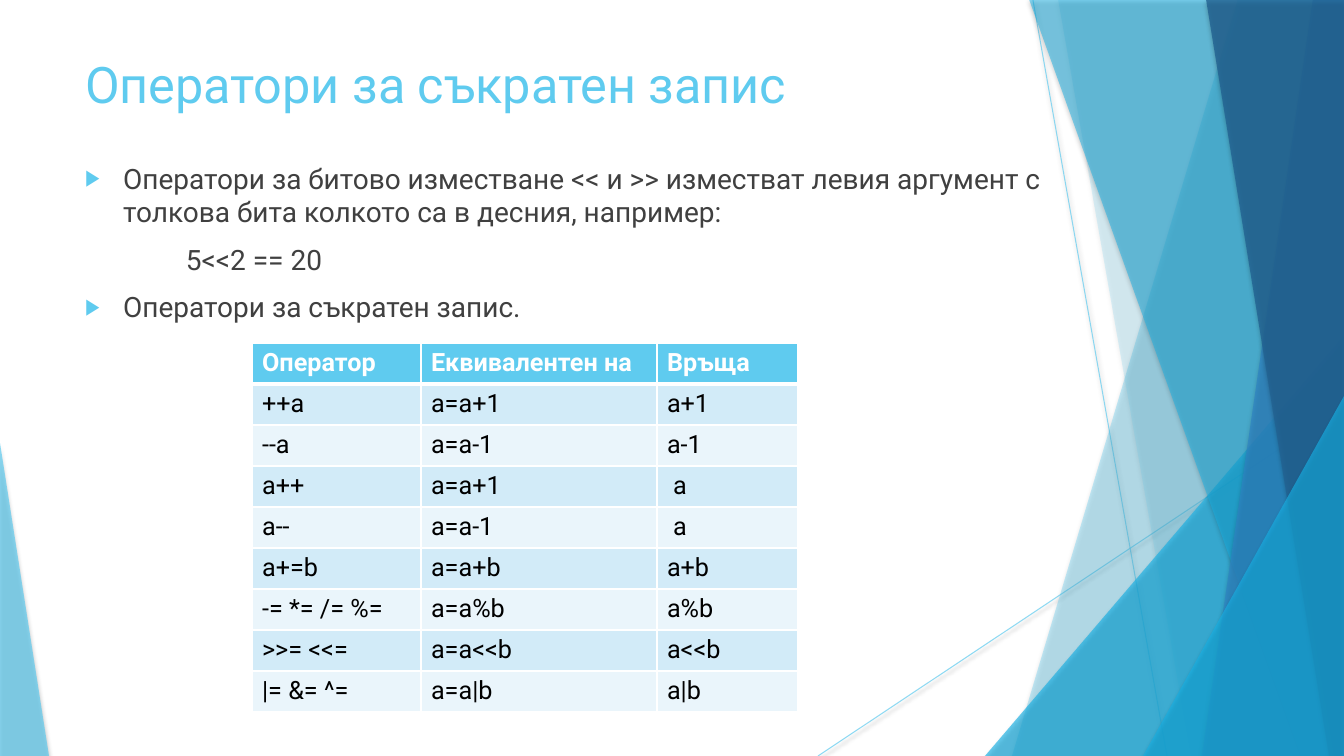
from lxml import etree
from pptx import Presentation
from pptx.dml.color import RGBColor
from pptx.enum.shapes import MSO_CONNECTOR, MSO_SHAPE
from pptx.enum.text import MSO_ANCHOR, MSO_AUTO_SIZE, PP_ALIGN
from pptx.oxml import parse_xml
from pptx.oxml.ns import nsdecls, qn
from pptx.util import Pt

LINE, TRI = MSO_CONNECTOR.STRAIGHT, MSO_SHAPE.ISOSCELES_TRIANGLE
TOP, LEFT, FIXED = MSO_ANCHOR.TOP, PP_ALIGN.LEFT, MSO_AUTO_SIZE.NONE
FONT = "Roboto"
WIDE, HIGH = 1344, 756
SCALE = 914400 / 100.8
COLORS = {
    "sky": "5FCBEF", "cyan": "17B0E4", "blue": "2E83C3", "navy": "226292",
    "gray": "404040", "black": "000000", "white": "FFFFFF",
    "band": "D2EBF8", "pale": "EAF5FB",
}
BULLETS = ["Оператори за битово изместване << и >> изместват левия аргумент с "
           "толкова бита колкото са в десния, например:",
           "\t\t5<<2 == 20",
           "Оператори за съкратен запис."]
ROWS = [
    ("Оператор", "Еквивалентен на", "Връща"),
    ("++а", "а=а+1", "а+1"),
    ("--а", "а=а-1", "а-1"),
    ("а++", "а=а+1", " а"),
    ("а--", "а=а-1", " а"),
    ("a+=b", "a=a+b", "a+b"),
    ("-= *= /= %=", "a=a%b", "a%b"),
    (">>= <<=", "a=a<<b", "a<<b"),
    ("|= &= ^=", "a=a|b", "a|b"),
]


def px(n):
    return round(n * SCALE)


def rgb(name):
    return RGBColor.from_string(COLORS[name])


def write(para, text, size=18, color="black", bold=False, before=0):
    para.alignment = LEFT
    para.space_before = Pt(before)
    run = para.add_run()
    run.text = text
    run.font.name, run.font.size = FONT, Pt(size)
    run.font.bold, run.font.color.rgb = bold, rgb(color)


def fade(fill, alpha):
    tint = fill._xPr.find(".//" + qn("a:srgbClr"))
    etree.SubElement(tint, qn("a:alpha")).set("val", str(alpha * 1000))


def shade(part, alpha, blur, dist):
    part._element.spPr.append(parse_xml(
        f'<a:effectLst {nsdecls("a")}><a:outerShdw blurRad="{Pt(blur)}" '
        f'dist="{Pt(dist)}" dir="5400000" rotWithShape="0">'
        f'<a:srgbClr val="{COLORS["black"]}"><a:alpha val="{alpha * 1000}"/>'
        '</a:srgbClr></a:outerShdw></a:effectLst>'))


def paint(part, color, alpha):
    part.fill.solid()
    part.fill.fore_color.rgb = rgb(color)
    fade(part.fill, alpha)
    part.line.fill.background()
    shade(part, 35, 3, 2)


def ray(shapes, *ends):
    line = shapes.add_connector(LINE, *map(px, ends))
    line.line.width = Pt(0.75)
    line.line.color.rgb = rgb("sky")
    fade(line.line.fill, 70)
    shade(line, 38, 3.1, 1.6)


def shard(shapes, top, foot, color, alpha):
    # Band from a slanted left edge to the slide's right edge
    pen = shapes.build_freeform(px(top), px(-1), scale=1.0)
    pen.add_line_segments([(px(x), px(y)) for x, y in
                           ((WIDE, -1), (WIDE, HIGH), (foot, HIGH))], close=True)
    paint(pen.convert_to_shape(), color, alpha)


def wedge(shapes, left, top, wide, peak, color, alpha):
    # Right triangle standing on the slide's bottom edge
    part = shapes.add_shape(TRI, *map(px, (left, top, wide, HIGH - top)))
    part.adjustments[0] = peak
    paint(part, color, alpha)


def decor(shapes):
    ray(shapes, 1033, 0, 1167, HIGH)
    ray(shapes, WIDE, 406, 818, HIGH)
    shard(shapes, 1238, 1012, "sky", 36)
    shard(shapes, 1058, 1191, "sky", 20)
    wedge(shapes, 985, 336, 359, 1, "cyan", 66)
    shard(shapes, 1029, 1301, "cyan", 50)
    shard(shapes, 1313, 1202, "blue", 70)
    shard(shapes, 1206, 1329, "navy", 80)
    wedge(shapes, 1143, 396, 201, 1, "cyan", 66)
    wedge(shapes, 0, 443, 49, 0, "sky", 70)


def place(holder, box):
    holder.left, holder.top, holder.width, holder.height = map(px, box)
    frame = holder.text_frame
    frame.word_wrap, frame.auto_size = True, FIXED
    frame.vertical_anchor = TOP
    return frame


def heading(holder, box):
    write(place(holder, box).paragraphs[0], "Оператори за съкратен запис",
          size=36, color="sky")


def bullet(para, on):
    props = para._p.get_or_add_pPr()
    props.set("marL", str(px(38) if on else 0))
    props.set("indent", str(px(-38) if on else 0))
    if not on:
        etree.SubElement(props, qn("a:buNone"))
        return
    tint = etree.SubElement(props, qn("a:buClr"))
    etree.SubElement(tint, qn("a:srgbClr")).set("val", COLORS["sky"])
    etree.SubElement(props, qn("a:buSzPct")).set("val", "80000")
    etree.SubElement(props, qn("a:buChar")).set("char", "▶")


def points(holder, box):
    frame = place(holder, box)
    for i, text in enumerate(BULLETS):
        para = frame.add_paragraph() if i else frame.paragraphs[0]
        write(para, text, size=20, color="gray", before=10)
        bullet(para, not text.startswith("\t"))


def border(cell, widths):
    props = cell._tc.get_or_add_tcPr()
    for side, width in widths.items():
        props.append(parse_xml(
            f'<a:ln{side} {nsdecls("a")} w="{Pt(width)}"><a:solidFill>'
            f'<a:srgbClr val="{COLORS["white"]}"/></a:solidFill></a:ln{side}>'))


def grid(shapes, box, cols, step):
    left, top = box
    table = shapes.add_table(len(ROWS), len(cols), px(left), px(top),
                             px(sum(cols)), px(step * len(ROWS))).table
    for col, wide in zip(table.columns, cols):
        col.width = px(wide)
    for r, row in enumerate(ROWS):
        table.rows[r].height = px(step)
        for c, text in enumerate(row):
            cell = table.cell(r, c)
            border(cell, {"L": 0.96, "R": 0.96, "T": 3 if r == 1 else 0.96,
                          "B": 0.96 if r else 3})
            cell.fill.solid()
            cell.fill.fore_color.rgb = rgb(
                ("band" if r % 2 else "pale") if r else "sky")
            write(cell.text_frame.paragraphs[0], text, bold=not r,
                  color="black" if r else "white")


def main():
    deck = Presentation()
    deck.slide_width, deck.slide_height = px(WIDE), px(HIGH)
    slide = deck.slides.add_slide(deck.slide_layouts[1])
    shapes = slide.shapes
    title, body = slide.placeholders
    decor(shapes)
    # Bring the text in front of the decoration
    for holder in (title, body):
        shapes._spTree.append(holder._element)
    heading(title, (75, 48, 948, 97))
    points(body, (75, 156, 1000, 559))
    grid(shapes, (252, 343), (169, 236, 141), 41)
    deck.save("out.pptx")


if __name__ == "__main__":
    main()
